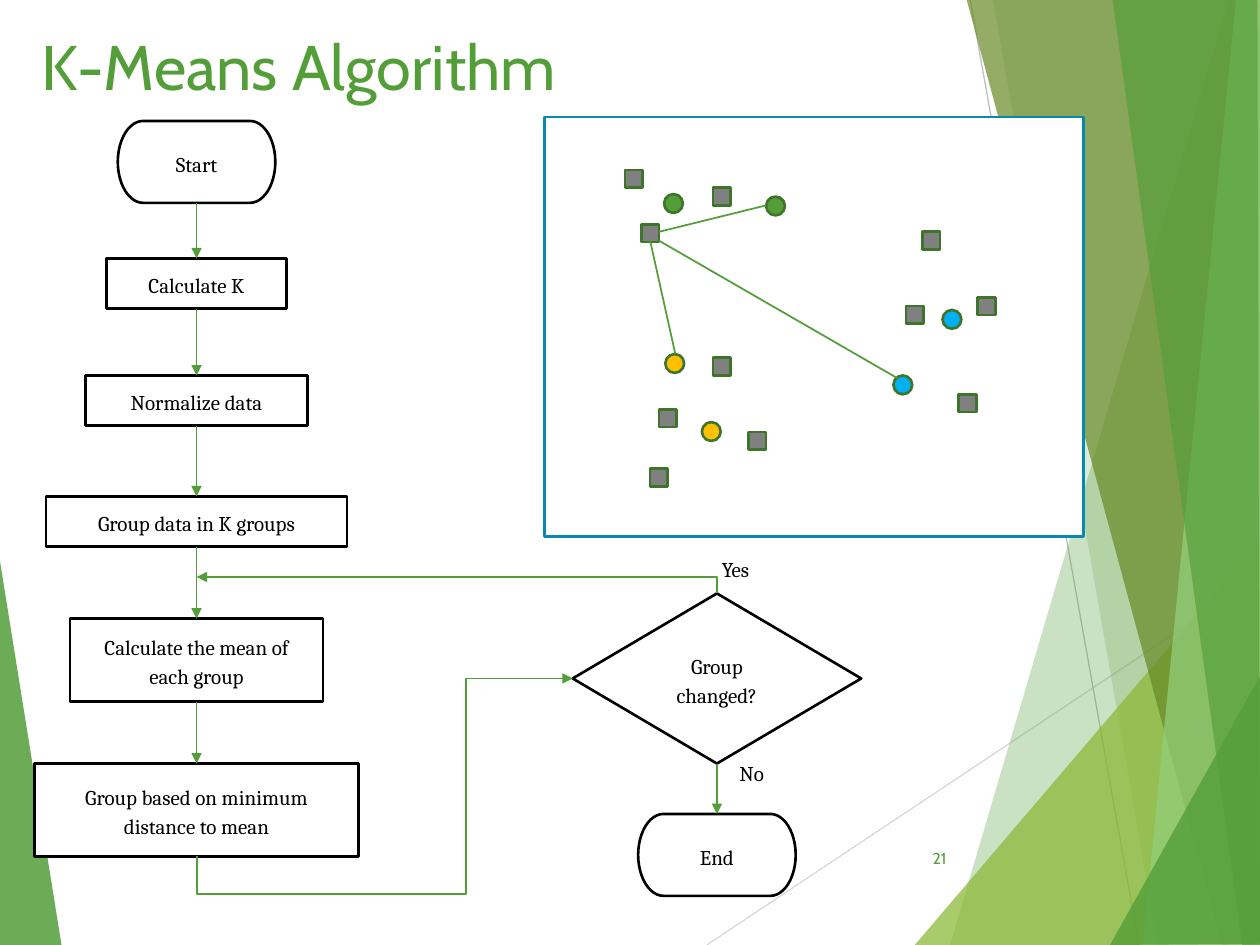
import pptx
import pptx.util
import pptx.dml.color
import pptx.enum.shapes
import pptx.enum.text
import pptx.oxml
import pptx.oxml.ns
from dataclasses import dataclass
from pptx.util import Inches


@dataclass(frozen=True)
class Theme:
    green: str = "549E39"
    dark_green: str = "3E752A"
    lime: str = "8AB833"
    olive: str = "678A26"
    mint: str = "93D07D"
    blue: str = "00B0F0"
    amber: str = "FFC000"
    gray: str = "808080"
    teal: str = "0989B1"
    light_rule: str = "D9D9D9"
    mid_rule: str = "BFBFBF"
    white: str = "FFFFFF"
    black: str = "000000"
    heading_font: str = "Cabin"
    body_font: str = "Cambria"
    title_size: int = 36
    body_size: int = 12
    number_size: int = 9


theme = Theme()
color = pptx.dml.color.RGBColor.from_string
kinds = pptx.enum.shapes.MSO_SHAPE
links = pptx.enum.shapes.MSO_CONNECTOR
aligns = pptx.enum.text.PP_ALIGN
anchors = pptx.enum.text.MSO_ANCHOR
qn = pptx.oxml.ns.qn
namespace = pptx.oxml.ns.nsdecls("a")


def write(shape, text, font=theme.body_font, size=theme.body_size, ink=theme.black,
          align=aligns.LEFT, anchor=anchors.TOP, wrap=True, spacing=None, after=0, inset=0.1):
    frame = shape.text_frame
    frame.word_wrap = wrap
    frame.auto_size = pptx.enum.text.MSO_AUTO_SIZE.NONE
    frame.vertical_anchor = anchor
    frame.margin_left = frame.margin_right = Inches(inset)
    para = frame.paragraphs[0]
    para.alignment = align
    para.line_spacing = spacing
    para.space_after = pptx.util.Pt(after)
    span = para.add_run()
    span.text = text
    span.font.name = font
    span.font.size = pptx.util.Pt(size)
    span.font.color.rgb = color(ink)


def draw_line(start, end, ink=theme.green, width=1, arrow=False, kind=links.STRAIGHT):
    line = page.shapes.add_connector(kind, *map(Inches, start + end))
    line.line.color.rgb = color(ink)
    line.line.width = pptx.util.Pt(width)
    properties = line._element.spPr
    if arrow:
        head = pptx.oxml.parse_xml(f'<a:tailEnd {namespace} type="triangle"/>')
        properties.find(qn("a:ln")).append(head)
    properties.append(pptx.oxml.parse_xml(f"<a:effectLst {namespace}/>"))
    return line


deck = pptx.Presentation()
deck.slide_width, deck.slide_height = Inches(10), Inches(7.5)
page = deck.slides.add_slide(deck.slide_layouts[5])

draw_line((5.61, 7.5), (10.01, 4.57), theme.light_rule, 0.75)
draw_line((7.7, 0), (9.04, 7.5), theme.mid_rule, 0.75)

facets = [
    (theme.green, 85, [(-0.01, 4.39), (0.49, 7.51), (-0.01, 7.5)]),
    (theme.green, 30, [(9.75, 0), (7.54, 7.5), (10.02, 7.51), (10.01, 0.01)]),
    (theme.green, 20, [(7.88, -0.01), (9.19, 7.5), (10.01, 7.5), (10.01, -0.01)]),
    (theme.lime, 72, [(7.26, 7.5), (10, 4.29), (10.01, 7.5)]),
    (theme.olive, 70, [(7.67, -0.01), (9.7, 7.5), (10.01, 7.49), (10.01, -0.01)]),
    (theme.mint, 70, [(9.81, -0.01), (9.07, 7.5), (10.01, 7.5), (10, -0.01)]),
    (theme.green, 65, [(8.83, -0.01), (9.86, 7.5), (10, 7.5), (9.98, -0.01)]),
    (theme.green, 80, [(8.81, 7.5), (10.01, 5.35), (10.01, 7.49)]),
]
for fill, opacity, points in facets:
    corners = [(Inches(x), Inches(y)) for x, y in points]
    builder = page.shapes.build_freeform(*corners[0])
    builder.add_line_segments(corners[1:], close=True)
    facet = builder.convert_to_shape()
    facet.shadow.inherit = False
    facet.fill.solid()
    facet.fill.fore_color.rgb = color(fill)
    alpha = pptx.oxml.parse_xml(f'<a:alpha {namespace} val="{opacity * 1000}"/>')
    facet._element.spPr.find(".//" + qn("a:srgbClr")).append(alpha)
    facet.line.fill.background()

title = page.shapes.title
title.left, title.top, title.width, title.height = map(Inches, (0.23, 0.17, 6.94, 0.76))
write(title, "K-Means Algorithm", font=theme.heading_font, size=theme.title_size, ink=theme.green)

number = page.shapes.add_textbox(*map(Inches, (7.05, 6.61, 0.56, 0.4)))
write(number, "21", font=theme.heading_font, size=theme.number_size, ink=theme.green,
      align=aligns.RIGHT, anchor=anchors.MIDDLE)

main_axis, check_axis = 1.56, 5.69
steps = [
    (kinds.FLOWCHART_TERMINATOR, main_axis, 0.96, 1.25, 0.65, "Start"),
    (kinds.RECTANGLE, main_axis, 2.05, 1.43, 0.4, "Calculate K"),
    (kinds.RECTANGLE, main_axis, 2.98, 1.76, 0.4, "Normalize data"),
    (kinds.RECTANGLE, main_axis, 3.94, 2.39, 0.4, "Group data in K groups"),
    (kinds.RECTANGLE, main_axis, 4.91, 2.01, 0.66, "Calculate the mean of each group"),
    (kinds.RECTANGLE, main_axis, 6.06, 2.57, 0.74, "Group based on minimum distance to mean"),
    (kinds.FLOWCHART_DECISION, check_axis, 4.71, 2.29, 1.35, "Group changed?"),
    (kinds.FLOWCHART_TERMINATOR, check_axis, 6.46, 1.25, 0.65, "End"),
]
data_points = [(4.96, 1.35), (5.09, 1.78), (5.66, 1.49), (7.32, 1.84), (7.19, 2.43), (7.76, 2.36),
               (7.61, 3.13), (5.66, 2.84), (5.23, 3.25), (5.94, 3.43), (5.16, 3.72)]
means = [(6.08, 1.56, theme.green), (5.27, 1.54, theme.green), (5.28, 2.81, theme.amber),
         (5.57, 3.35, theme.amber), (7.09, 2.98, theme.blue), (7.48, 2.46, theme.blue)]

figures = [(kind, (axis - width / 2, top, width, height), theme.white, theme.black, text)
           for kind, axis, top, width, height, text in steps]
figures.append((kinds.RECTANGLE, (4.32, 0.93, 4.28, 3.33), theme.white, theme.teal, ""))
figures += [(kinds.RECTANGLE, (left, top, 0.14, 0.14), theme.gray, theme.dark_green, "")
            for left, top in data_points]
figures += [(kinds.OVAL, (left, top, 0.15, 0.15), fill, theme.dark_green, "")
            for left, top, fill in means]

boxes = []
for kind, place, fill, outline, text in figures:
    box = page.shapes.add_shape(kind, *map(Inches, place))
    box.shadow.inherit = False
    box.fill.solid()
    box.fill.fore_color.rgb = color(fill)
    box.line.color.rgb = color(outline)
    box.line.width = pptx.util.Pt(1.5)
    if text:
        write(box, text, align=aligns.CENTER, anchor=anchors.MIDDLE, spacing=1.15, after=10,
              inset=0.15)
    boxes.append(box)

for first, second in [(0, 1), (1, 2), (2, 3), (3, 4), (4, 5), (6, 7)]:
    arrow = draw_line((0, 0), (1, 1), arrow=True)
    arrow.begin_connect(boxes[first], 2)
    arrow.end_connect(boxes[second], 0)

elbows = [
    ((3.76, 7.58), (2.35, 4.6), 90, "bentConnector4", [-21500, 71500]),
    ((3.56, 6.71), (3.69, 2.58), 270, "bentConnector2", []),
]
for start, end, turn, preset, bends in elbows:
    elbow = draw_line(start, end, arrow=True, kind=links.ELBOW)
    properties = elbow._element.spPr
    properties.find(qn("a:xfrm")).set("rot", str(turn * 60000))
    geometry = properties.find(qn("a:prstGeom"))
    geometry.set("prst", preset)
    for index, bend in enumerate(bends, 1):
        guide = pptx.oxml.parse_xml(f'<a:gd {namespace} name="adj{index}" fmla="val {bend}"/>')
        geometry.find(qn("a:avLst")).append(guide)

for start, end in [((5.23, 1.84), (6.08, 1.63)), ((5.16, 1.91), (5.36, 2.81)),
                   ((5.23, 1.91), (7.12, 3))]:
    draw_line(start, end)

for text, place in [("Yes", (5.63, 4.34, 0.55, 0.49)), ("No", (5.77, 5.96, 0.49, 0.49))]:
    label = page.shapes.add_textbox(*map(Inches, place))
    write(label, text, wrap=False, spacing=1.15, after=10)

deck.save("out.pptx")
